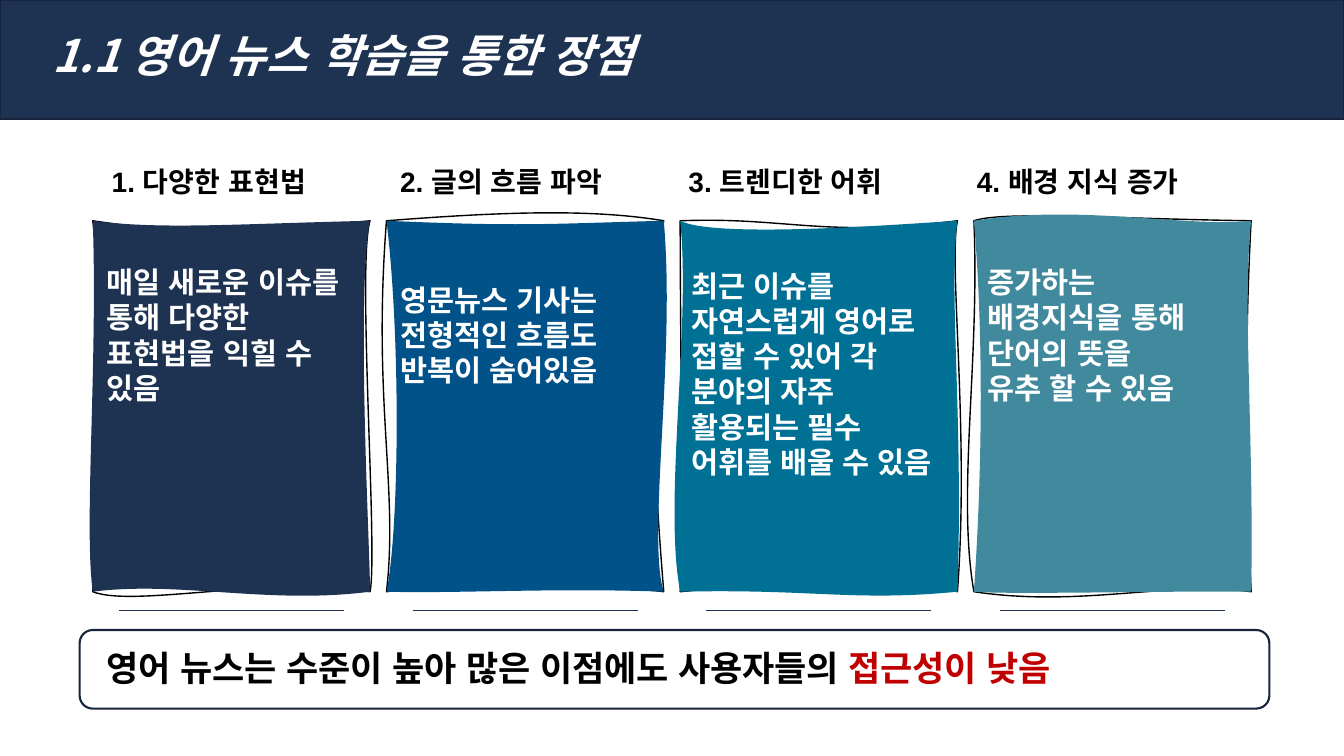
from lxml import etree
from pptx import Presentation
from pptx.dml.color import RGBColor
from pptx.enum.shapes import MSO_CONNECTOR, MSO_SHAPE
from pptx.enum.text import MSO_ANCHOR
from pptx.oxml.ns import qn
from pptx.util import Inches, Pt

RECT, ROUND = MSO_SHAPE.RECTANGLE, MSO_SHAPE.ROUNDED_RECTANGLE
LINE, MID, TOP = MSO_CONNECTOR.STRAIGHT, MSO_ANCHOR.MIDDLE, MSO_ANCHOR.TOP
NAVY = RGBColor(0x1E, 0x32, 0x52)
EDGE = RGBColor(0x16, 0x25, 0x3D)
BLUE = RGBColor(0x00, 0x52, 0x89)
TEAL = RGBColor(0x00, 0x70, 0x95)
MIST = RGBColor(0x41, 0x8A, 0x9D)
RED = RGBColor(0xC0, 0x00, 0x00)
BLACK = RGBColor(0, 0, 0)
WHITE = RGBColor(255, 255, 255)
SANS, ARIAL = "Noto Sans CJK KR", "Arial"

TITLE = "1.1 영어 뉴스 학습을 통한 장점"
CLAIM = "영어 뉴스는 수준이 높아 많은 이점에도 사용자들의 "
STRESS = "접근성이 낮음"
CARDS = [
    ("1. 다양한 표현법", ["매일 새로운 이슈를", "통해 다양한 표현법을 익힐 수 있음"],
     NAVY, (0.04, 2.74, 2.56, 1.16)),
    ("2. 글의 흐름 파악", ["영문뉴스 기사는", "전형적인 흐름도", "반복이 숨어있음"],
     BLUE, (0.04, 2.74, 2.68, 1.16)),
    ("3. 트렌디한 어휘",
     ["최근 이슈를 자연스럽게 영어로 접할 수 있어 각 분야의 자주 활용되는 필수 어휘를 배울 수 있음"],
     TEAL, (0.01, 2.77, 2.68, 1.87)),
    ("4. 배경 지식 증가", ["증가하는 배경지식을 통해 단어의 뜻을 \v유추 할 수 있음"],
     MIST, (0.04, 2.74, 2.6, 1.16)),
]
# Control points of the top, right, bottom and left sides: ink edge, then fill.
BENDS = [
    ([(1.26, .19, 1.81, .1), (2.62, .42, 2.83, 3.29), (1.73, 3.52, .41, 3.84), (.06, 2.48, .17, 1.4)],
     [(.68, .09, 1.43, .03), (2.61, .72, 2.75, 3.25), (1.74, 3.81, .85, 3.57), (-.09, 3.03, .05, 1.41)]),
    ([(1.15, -.09, 2.04, -.12), (2.6, .81, 2.61, 1.96), (2.38, 3.63, 1.02, 3.55), (.12, 2.65, -.14, 1.79)],
     [(1.36, .06, 1.6, .03), (2.87, 1.34, 2.58, 3.15), (1.67, 3.64, .67, 3.7), (.13, 3.04, .14, 1.14)]),
    ([(1.06, -.04, 1.41, .17), (2.66, .41, 2.87, 2.08), (2.39, 3.55, 1.04, 3.58), (.03, 2.76, 0, 1.1)],
     [(.35, .18, 2.24, .03), (2.66, .71, 2.81, 1.93), (1.73, 3.78, 1.3, 3.65), (-.17, 2.8, .11, 1.04)]),
    ([(.29, -.1, 1.39, -.02), (2.69, 1.11, 2.69, 2.3), (1.92, 3.57, 1.06, 3.84), (-.17, 2.7, .06, 1.39)],
     [(1.04, -.17, 2.11, .07), (2.66, .84, 2.78, 2.12), (2.01, 3.67, .32, 3.71), (.07, 2.69, .11, 1.28)]),
]
WIDE, HIGH = 13.33, 7.5
LEFT, HEAD, STEP, CARD_W, CARD_H = 0.92, 2.19, 2.913, 2.75, 3.68
ENDS = [(0, 0), (CARD_W, 0), (CARD_W, CARD_H), (0, CARD_H)]

deck = Presentation()
deck.slide_width, deck.slide_height = Inches(WIDE), Inches(HIGH)
slide = deck.slides.add_slide(deck.slide_layouts[6])
shapes = slide.shapes


def paint(shape, fill=None, line=None, width=1):
    shape.shadow.inherit = False
    if fill is None:
        shape.fill.background()
    else:
        shape.fill.solid()
        shape.fill.fore_color.rgb = fill
    if line is None:
        shape.line.fill.background()
    else:
        shape.line.color.rgb = line
        shape.line.width = Pt(width)


def write(box, texts, size, color, face=SANS, anchor=TOP, italic=None, wrap=True):
    frame = shapes.add_textbox(*map(Inches, box)).text_frame
    frame.word_wrap, frame.vertical_anchor = wrap, anchor
    for i, text in enumerate(texts):
        para = frame.add_paragraph() if i else frame.paragraphs[0]
        para.text = text
        para.line_spacing = Pt(size * 1.2)
        font = para.font
        font.size, font.bold, font.italic = Pt(size), True, italic
        font.name, font.color.rgb = face, color
        base = para._p.pPr.find(qn("a:defRPr"))
        etree.SubElement(base, qn("a:ea")).set("typeface", ARIAL)
    return frame


def dot(parent, x, y):
    node = etree.SubElement(parent, qn("a:pt"))
    node.set("x", str(Inches(x)))
    node.set("y", str(Inches(y)))


def trace(x, ink, fill):
    spots = [(Inches(x + dx), Inches(HEAD + dy)) for dx, dy in ENDS]
    pen = shapes.build_freeform(*spots[0])
    pen.add_line_segments(spots[1:], close=True)
    card = pen.convert_to_shape()
    paths = card._element.spPr.find(".//" + qn("a:pathLst"))
    paths.clear()
    for bends, key, value in ((ink, "fill", "none"), (fill, "stroke", "0")):
        curve = etree.SubElement(paths, qn("a:path"))
        curve.set("w", str(Inches(CARD_W)))
        curve.set("h", str(Inches(CARD_H)))
        curve.set(key, value)
        dot(etree.SubElement(curve, qn("a:moveTo")), *ENDS[0])
        for (bx, by, cx, cy), end in zip(bends, ENDS[1:] + ENDS[:1]):
            side = etree.SubElement(curve, qn("a:cubicBezTo"))
            dot(side, bx, by)
            dot(side, cx, cy)
            dot(side, *end)
        etree.SubElement(curve, qn("a:close"))
    return card


band = shapes.add_shape(RECT, 0, 0, Inches(WIDE), Inches(1.18))
paint(band, NAVY, EDGE)
write((0.42, 0.23, 8.17, 0.64), [TITLE], 32, WHITE, italic=True)

for i, ((name, body, color, (dx, y, w, h)), (ink, fill)) in enumerate(zip(CARDS, BENDS)):
    x = LEFT + i * STEP
    rule = shapes.add_connector(LINE, *map(Inches, (x + 0.26, 6.06, x + 2.49, 6.06)))
    rule.line.color.rgb, rule.line.width = NAVY, Pt(0.5)
    etree.SubElement(rule._element.spPr, qn("a:effectLst"))
    write((1.01 + i * 2.86, 1.58, 2.72, 0.44), [name], 20, BLACK, ARIAL)
    paint(trace(x, ink, fill), color, BLACK)
    write((x + dx, y, w, h), body, 21, WHITE, anchor=MID)

claim = write((0.96, 6.36, 9.98, 0.52), [CLAIM], 25, BLACK, wrap=False)
stress = claim.paragraphs[0].add_run()
stress.text = STRESS
stress.font.color.rgb = RED
paint(shapes.add_shape(RECT, *map(Inches, (11.2, 7.29, 2.04, 0.19))), WHITE)
paint(shapes.add_shape(ROUND, *map(Inches, (0.79, 6.25, 11.8, 0.78))), line=EDGE, width=1.5)

deck.save("out.pptx")
